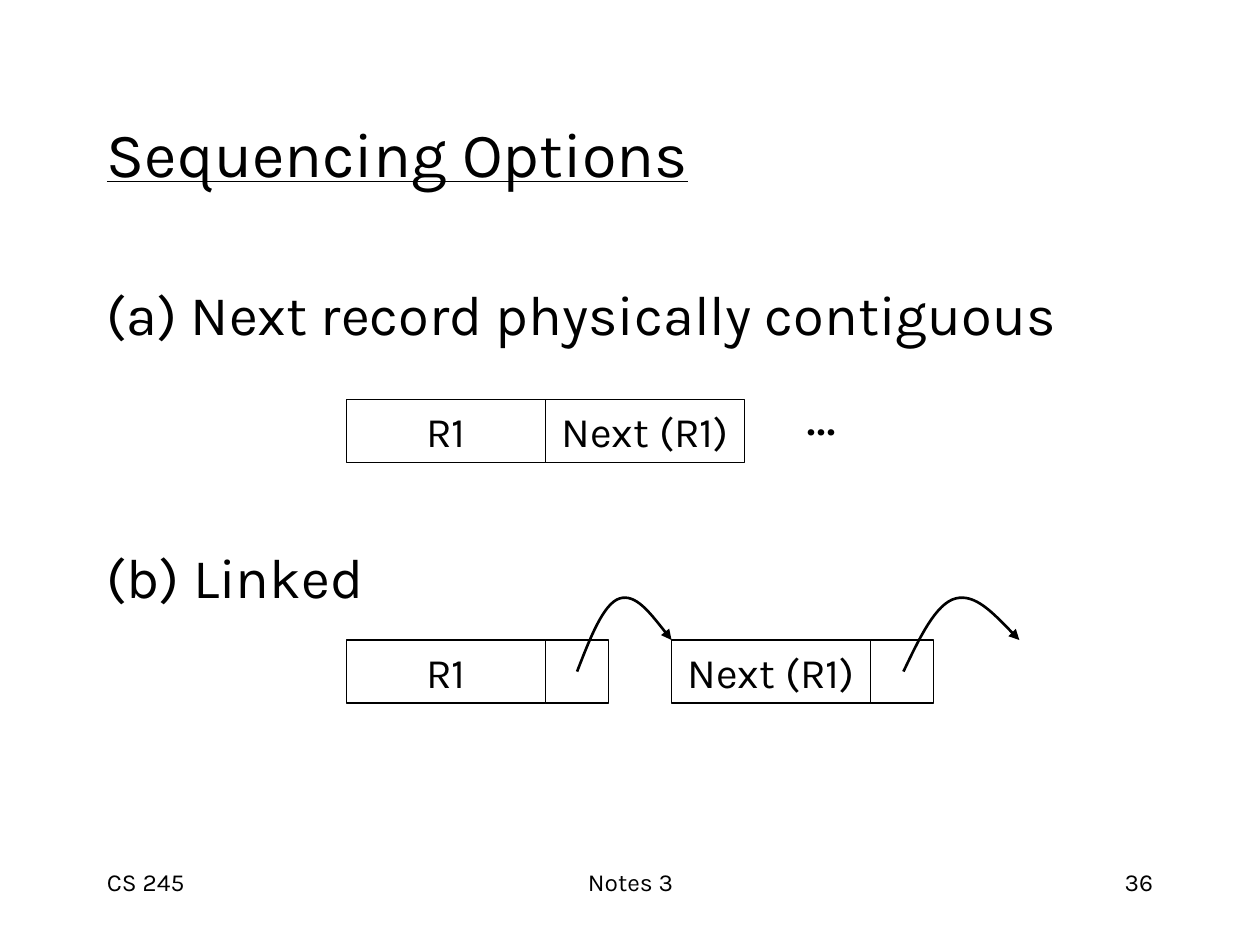
"""Build the slide on sequencing options for records."""
from lxml import etree
from pptx import Presentation
from pptx.dml.color import RGBColor
from pptx.enum.shapes import MSO_SHAPE
from pptx.enum.text import MSO_ANCHOR, PP_ALIGN
from pptx.oxml.ns import qn
from pptx.util import Inches, Pt

BLACK = RGBColor(0x00, 0x00, 0x00)
WHITE = RGBColor(0xFF, 0xFF, 0xFF)
LEFT, CENTER, RIGHT = PP_ALIGN.LEFT, PP_ALIGN.CENTER, PP_ALIGN.RIGHT
TOP, MIDDLE = MSO_ANCHOR.TOP, MSO_ANCHOR.MIDDLE
RECTANGLE = MSO_SHAPE.RECTANGLE
FONT = "Karla"
RECORD_WIDTH = 1.58
CELL = 0.5
LINKED_TOP = 5.08

deck = Presentation()
deck.slide_width, deck.slide_height = Inches(10), Inches(7.5)
page = deck.slides.add_slide(deck.slide_layouts[6])


def write(box, text, size, align=LEFT, anchor=TOP, wrap=True, underline=False):
    frame = box.text_frame
    frame.word_wrap = wrap
    frame.vertical_anchor = anchor
    para = frame.paragraphs[0]
    para.alignment = align
    span = para.add_run()
    span.text = text
    span.font.name = FONT
    span.font.size = Pt(size)
    span.font.underline = underline
    span.font.color.rgb = BLACK


def add_link(left, width):
    curve = [(0, 5.33), (0.14, 5.06), (0.28, 4.79), (0.45, 4.75),
             (0.62, 4.71), (0.81, 4.9), (1, 5.08)]
    points = [(Inches(left + x * width), Inches(y)) for x, y in curve]
    builder = page.shapes.build_freeform(*points[0])
    builder.add_line_segments(points[1:], close=False)
    link = builder.convert_to_shape()
    link.shadow.inherit = False
    link.fill.background()
    link.line.color.rgb = BLACK
    link.line.width = Pt(1.5)
    outline = link.line._get_or_add_ln()
    etree.SubElement(outline, qn("a:tailEnd"), type="triangle")
    segments = list(link._element.iter(qn("a:lnTo")))
    track = segments[0].getparent()
    for start in (0, 3):
        bezier = etree.SubElement(track, qn("a:cubicBezTo"))
        for segment in segments[start:start + 3]:
            bezier.append(segment[0])
            track.remove(segment)


texts = [
    ("CS 245", 0.75, 6.83, 2.08, 0.5, 14, {}),
    ("Notes 3", 3.42, 6.83, 3.17, 0.5, 14, {"align": CENTER}),
    ("36", 7.17, 6.83, 2.08, 0.5, 14, {"align": RIGHT}),
    ("Sequencing Options", 0.75, 0.67, 8.5, 1.08, 36,
     {"anchor": MIDDLE, "underline": True}),
    ("(a) Next record physically contiguous", 0.75, 2.17, 8.5, 0.65, 32, {}),
    ("...", 6.3, 2.96, 0.8, 0.65, 32, {}),
    ("(b) Linked", 0.75, 4.26, 8.5, 0.65, 32, {}),
]
for text, left, top, width, height, size, style in texts:
    box = page.shapes.add_textbox(
        Inches(left), Inches(top), Inches(width), Inches(height))
    write(box, text, size, **style)

cells = [
    ("R1", 2.75, 3.17, RECORD_WIDTH),
    ("Next (R1)", 2.75 + RECORD_WIDTH, 3.17, RECORD_WIDTH),
]
for text, left in (("R1", 2.75), ("Next (R1)", 5.33)):
    cells.append((text, left, LINKED_TOP, RECORD_WIDTH))
    cells.append(("", left + RECORD_WIDTH, LINKED_TOP, CELL))
for text, left, top, width in cells:
    box = page.shapes.add_shape(
        RECTANGLE, Inches(left), Inches(top), Inches(width), Inches(CELL))
    box.shadow.inherit = False
    box.fill.solid()
    box.fill.fore_color.rgb = WHITE
    box.line.color.rgb = BLACK
    box.line.width = Pt(0.75)
    if text:
        write(box, text, 24, align=CENTER, anchor=MIDDLE, wrap=False)

for left, width in ((4.58, 0.75), (7.17, 0.92)):
    add_link(left, width)

deck.save("out.pptx")
